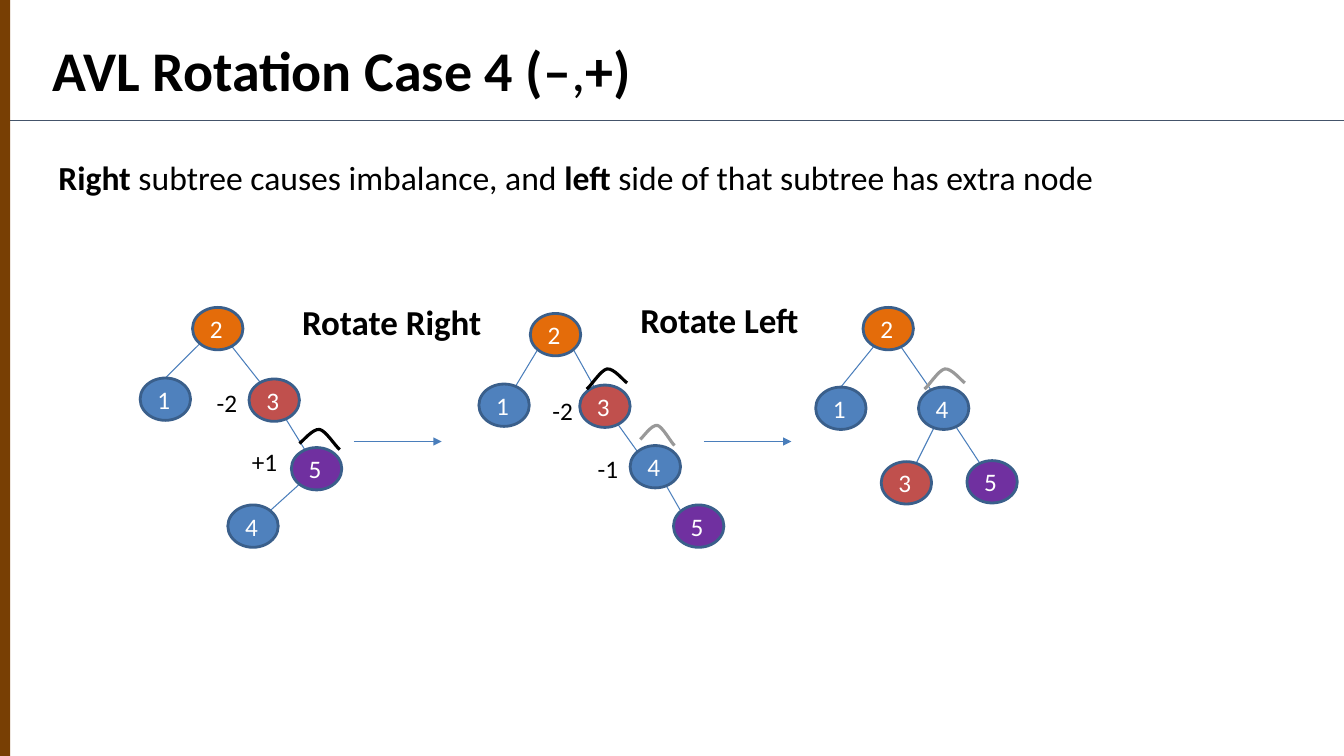
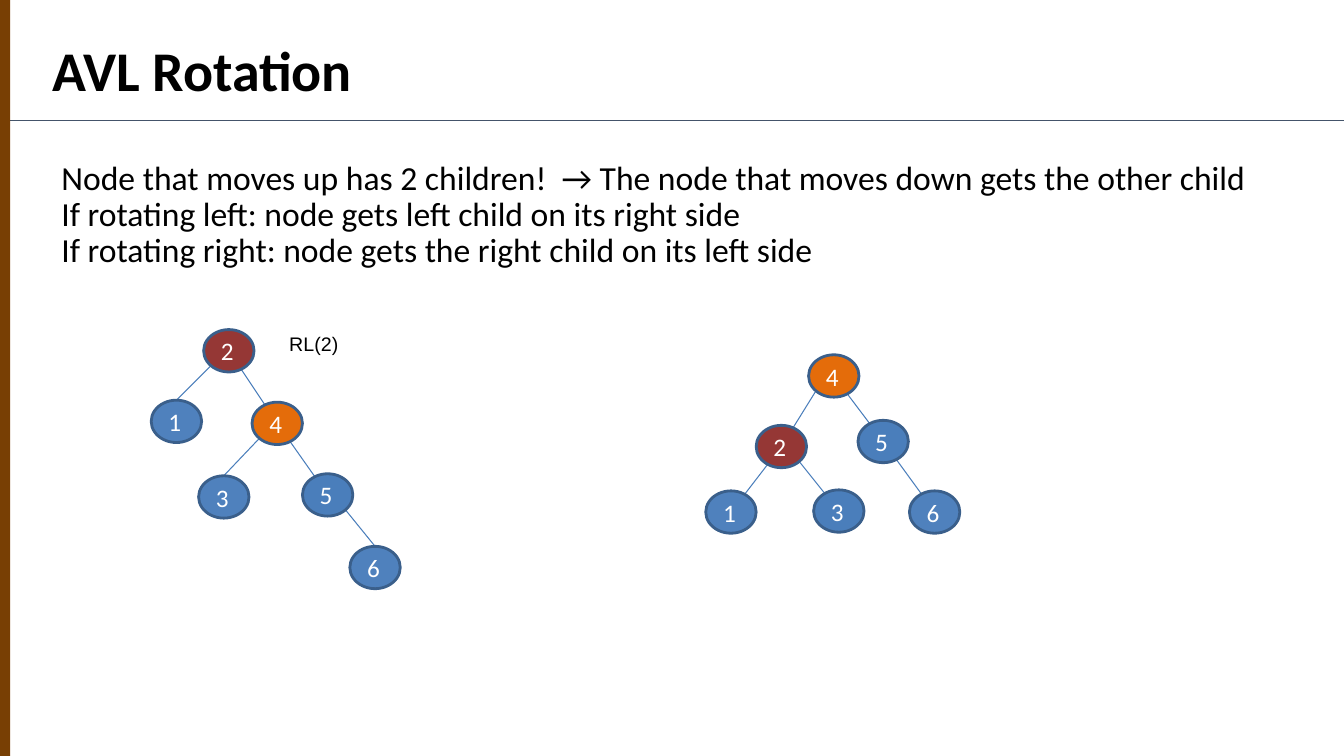
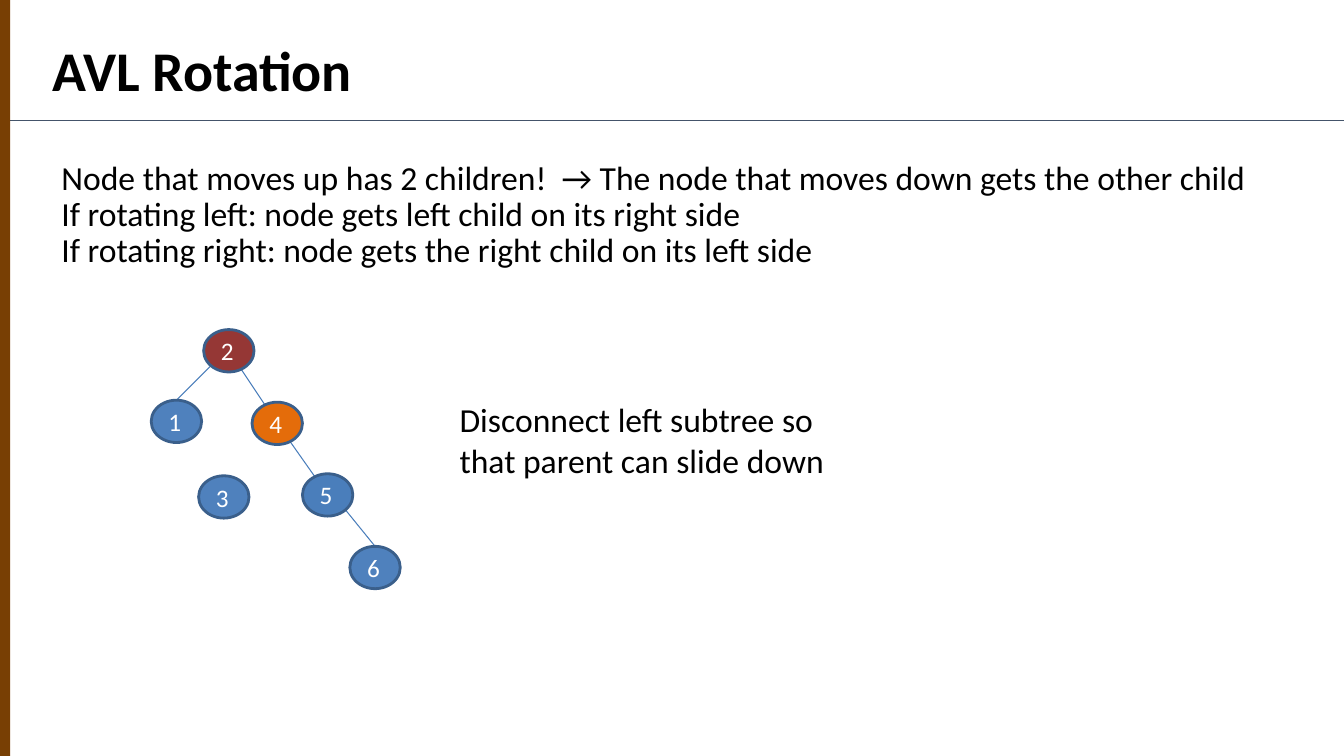
from lxml import etree
from pptx import Presentation
from pptx.dml.color import RGBColor
from pptx.enum.shapes import MSO_CONNECTOR, MSO_SHAPE
from pptx.enum.text import MSO_ANCHOR, PP_ALIGN
from pptx.oxml.ns import qn
from pptx.util import Inches, Pt

BLACK = RGBColor(0x00, 0x00, 0x00)
WHITE = RGBColor(0xFF, 0xFF, 0xFF)
GRAY = RGBColor(0x99, 0x99, 0x99)
BROWN = RGBColor(0x78, 0x3F, 0x04)
SLATE = RGBColor(0x44, 0x54, 0x6A)
EDGE = RGBColor(0x4A, 0x7E, 0xBB)
RIM = RGBColor(0x3A, 0x5F, 0x8B)
BLUE = RGBColor(0x4F, 0x81, 0xBD)
RED = RGBColor(0xC0, 0x50, 0x4D)
MAROON = RGBColor(0x95, 0x37, 0x35)
ORANGE = RGBColor(0xE4, 0x6C, 0x0A)
PURPLE = RGBColor(0x70, 0x30, 0xA0)

FONT = "Calibri"
NODE_W, NODE_H = 0.5, 0.42
DIAG = 0.71
# Points of a node's outline, in half widths and half heights from its centre
SITES = {"": (0, 0), "t": (0, -1), "tl": (-DIAG, -DIAG),
         "bl": (-DIAG, DIAG), "br": (DIAG, DIAG)}
# Two Bezier curves, as fractions of the arc's box
ARC = [(0, 0.71), (0.08, 0.62), (0.33, 0), (0.5, 0.05),
       (0.65, 0.1), (0.9, 0.86), (1, 1)]
ARC_H = 0.21

RULES = [
    "Node that moves up has 2 children!  → The node that moves down gets the other child",
    "If rotating left: node gets left child on its right side",
    "If rotating right: node gets the right child on its left side",
]
# Nodes are (left, top, fill) inside the tree's box
BEFORE = {"6": (1.97, 2.15, BLUE), "3": (0.47, 1.45, BLUE),
          "1": (0, 0.7, BLUE), "2": (0.52, 0, MAROON),
          "4": (1, 0.72, ORANGE), "5": (1.5, 1.43, EDGE)}
SPLIT = ["2bl 1t", "2 4", "4 5", "5br 6t"]


def write(slide, box, lines, size, font=FONT, inset=(0.1, 0.1),
          align=PP_ALIGN.LEFT, spacing=None):
    """Add a text box; asterisks in a line switch bold on and off."""
    frame = slide.shapes.add_textbox(*map(Inches, box)).text_frame
    frame.word_wrap = True
    frame.margin_left = frame.margin_right = Inches(inset[0])
    frame.margin_top = frame.margin_bottom = Inches(inset[1])
    for i, line in enumerate(lines):
        para = frame.paragraphs[0] if i == 0 else frame.add_paragraph()
        para.alignment = align
        para.line_spacing = spacing
        style(para, size, BLACK, font)
        parts = [(text, k % 2 == 1)
                 for k, text in enumerate(line.split("*")) if text]
        same = len({bold for _, bold in parts}) == 1
        if same:
            para.font.bold = parts[0][1]
        for text, bold in parts:
            run = para.add_run()
            run.text = text
            if not same:
                run.font.bold = bold


def style(para, size, color, font=FONT):
    para.font.size = Pt(size)
    para.font.name = font
    para.font.color.rgb = color


def link(slide, start, end, color=EDGE, arrow=False):
    line = slide.shapes.add_connector(
        MSO_CONNECTOR.STRAIGHT, *map(Inches, (*start, *end)))
    line.line.color.rgb = color
    line.line.width = Pt(0.75)
    if arrow:
        etree.SubElement(line.line._get_or_add_ln(), qn("a:tailEnd"),
                         type="triangle")
    etree.SubElement(line._element.spPr, qn("a:effectLst"))


def node(slide, x, y, name, fill):
    oval = slide.shapes.add_shape(
        MSO_SHAPE.OVAL, *map(Inches, (x, y, NODE_W, NODE_H)))
    oval.shadow.inherit = False
    oval.fill.solid()
    oval.fill.fore_color.rgb = fill
    oval.line.color.rgb = RIM
    oval.line.width = Pt(2)
    frame = oval.text_frame
    frame.vertical_anchor = MSO_ANCHOR.MIDDLE
    para = frame.paragraphs[0]
    para.text = name
    para.alignment = PP_ALIGN.LEFT
    style(para, 18, WHITE)


def tree(slide, x, y, nodes, edges):
    """Draw edges such as "2bl 1t" (node and site at each end), then nodes."""
    def spot(end):
        left, top, _ = nodes[end[0]]
        dx, dy = SITES[end[1:]]
        return (x + left + NODE_W / 2 * (1 + dx),
                y + top + NODE_H / 2 * (1 + dy))

    for edge in edges:
        link(slide, *map(spot, edge.split()))
    for name, (left, top, fill) in nodes.items():
        node(slide, x + left, y + top, name, fill)


def arc(slide, x, y, width, color, mirror=False):
    """Draw a curved cap that marks the turning node."""
    points = [(Inches(x + width * (1 - u if mirror else u)),
               Inches(y + ARC_H * v)) for u, v in ARC]
    builder = slide.shapes.build_freeform(*points[0])
    builder.add_line_segments(points[1:], close=False)
    cap = builder.convert_to_shape()
    cap.shadow.inherit = False
    cap.fill.background()
    cap.line.color.rgb = color
    cap.line.width = Pt(2.25)
    route = cap._element.spPr.find(".//" + qn("a:path"))
    steps = route.findall(qn("a:lnTo"))
    for i in range(0, len(steps), 3):
        curve = etree.SubElement(route, qn("a:cubicBezTo"))
        for step in steps[i:i + 3]:
            curve.append(step[0])
            route.remove(step)


def start(deck, title):
    """Add a slide with the side band, the rule and the title."""
    slide = deck.slides.add_slide(deck.slide_layouts[6])
    link(slide, (0.1, 1.2), (13.33, 1.2), SLATE)
    band = slide.shapes.add_shape(
        MSO_SHAPE.RECTANGLE, *map(Inches, (0, 0, 0.1, 7.5)))
    band.shadow.inherit = False
    band.fill.solid()
    band.fill.fore_color.rgb = BROWN
    band.line.fill.background()
    write(slide, (0.42, 0.25, 12.91, 1.21), [title], 40)
    return slide


def body(slide, box, lines):
    write(slide, box, lines, 24, inset=(0, 0.05), spacing=0.9)


def case_slide(deck):
    slide = start(deck, "*AVL Rotation Case 4 (–*,*+)*")
    body(slide, (0.58, 1.55, 11, 4.4),
         ["*Right *subtree causes imbalance, and *left*"
          " side of that subtree has extra node"])
    tree(slide, 1.39, 3.05,
         {"1": (0, 0.7, BLUE), "4": (0.87, 1.96, BLUE),
          "3": (1.08, 0.71, RED), "2": (0.52, 0, ORANGE),
          "5": (1.5, 1.39, PURPLE)},
         ["2bl 1t", "2 3", "3 5", "5 4"])
    tree(slide, 4.75, 3.11,
         {"5": (1.93, 1.9, PURPLE), "1": (0, 0.7, BLUE),
          "4": (1.5, 1.31, BLUE), "2": (0.51, 0, ORANGE),
          "3": (1, 0.71, RED)},
         ["2bl 1", "2br 3", "3 4tl", "4 5tl"])
    tree(slide, 8.09, 3.05,
         {"1": (0, 0.79, BLUE), "4": (1.02, 0.79, BLUE),
          "2": (0.47, 0, ORANGE), "3": (0.65, 1.53, RED),
          "5": (1.5, 1.52, PURPLE)},
         ["2 1t", "2 4", "4 3", "4 5"])
    for x, y, text in [(2.52, 2.88, "*Rotate Right*"),
                       (5.77, 2.86, "*Rotate Left*")]:
        write(slide, (x, y, 2.73, 0.75), [text], 25, align=PP_ALIGN.CENTER)
    for x, y, text in [(2.05, 3.79, "-2"), (2.4, 4.38, "+1"),
                       (5.38, 3.87, "-2"), (5.83, 4.45, "-1")]:
        write(slide, (x, y, 0.76, 0.4), [text], 18, inset=(0.1, 0.05))
    for x in (3.51, 6.98):
        link(slide, (x, 4.38), (x + 0.87, 4.38), arrow=True)
    arc(slide, 2.97, 4.25, 0.4, BLACK)
    arc(slide, 6.35, 4.21, 0.34, GRAY)
    arc(slide, 5.82, 3.65, 0.4, BLACK, mirror=True)
    arc(slide, 9.17, 3.65, 0.4, GRAY, mirror=True)


def rules_slide(deck, edges):
    slide = start(deck, "*AVL Rotation*")
    body(slide, (0.61, 1.55, 12.33, 1.5), RULES)
    tree(slide, 1.5, 3.27, BEFORE, edges)
    return slide


def main():
    deck = Presentation()
    deck.slide_width, deck.slide_height = Inches(13.33), Inches(7.5)
    case_slide(deck)

    slide = rules_slide(deck, SPLIT + ["4bl 3t"])
    write(slide, (2.77, 3.19, 1.22, 0.42), ["RL(2)"], 14, font="Arial")
    tree(slide, 7, 3.52,
         {"1": (0, 1.35, BLUE), "2": (0.5, 0.7, MAROON),
          "6": (2.02, 1.35, BLUE), "4": (1.02, 0, ORANGE),
          "3": (1.07, 1.34, EDGE), "5": (1.51, 0.65, EDGE)},
         ["4bl 2", "4 5", "2 1", "2br 3", "5 6"])

    slide = rules_slide(deck, SPLIT)
    write(slide, (4.46, 3.86, 3.92, 0.94),
          ["Disconnect left subtree so that parent can slide down"], 24)
    deck.save("out.pptx")


if __name__ == "__main__":
    main()
